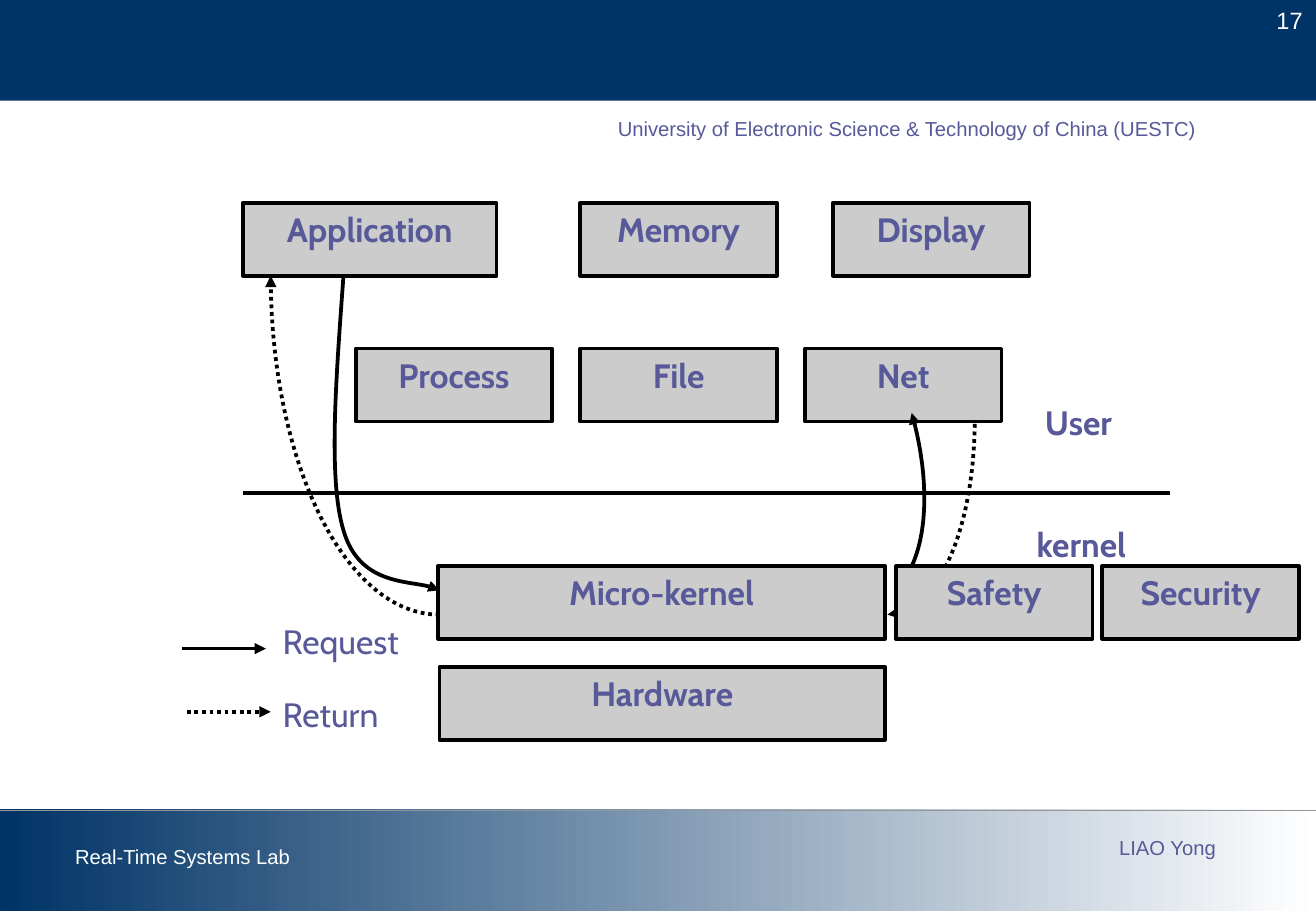
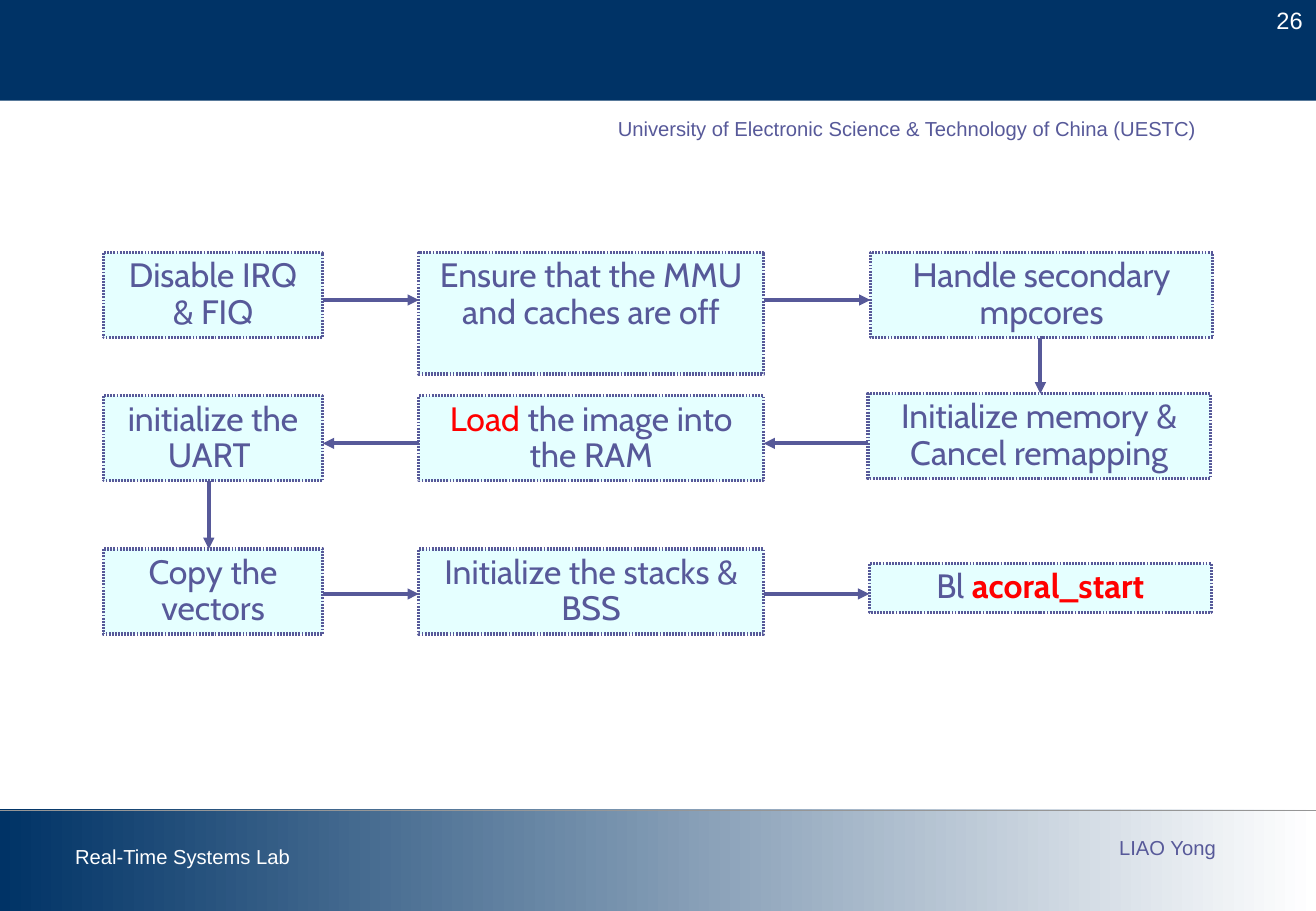
from dataclasses import dataclass
from itertools import pairwise
from typing import NamedTuple

from pptx import Presentation
from pptx.dml.color import RGBColor
from pptx.enum.dml import MSO_LINE_DASH_STYLE as Dash
from pptx.enum.shapes import MSO_CONNECTOR as Connector
from pptx.enum.shapes import MSO_SHAPE as Preset
from pptx.enum.text import PP_ALIGN as Align
from pptx.oxml.ns import qn
from pptx.util import Inches, Pt

WIDTH, HEIGHT = 10.84, 7.5
NAVY = RGBColor(0x00, 0x33, 0x66)
VIOLET = RGBColor(0x57, 0x59, 0x99)
WHITE = RGBColor(0xFF, 0xFF, 0xFF)
BLACK = RGBColor(0x00, 0x00, 0x00)
RED = RGBColor(0xFF, 0x00, 0x00)
GRAY = RGBColor(0x96, 0x96, 0x96)
SILVER = RGBColor(0xCC, 0xCC, 0xCC)
CYAN = RGBColor(0xCC, 0xFF, 0xFF)
FRAME_FONT, BODY_FONT = "Arial", "Cabin"
BODY_SIZE = 20
ARROW_WIDTH = 2.25
HEADER_HEIGHT, FOOTER_TOP = 0.83, 6.66


class Point(NamedTuple):
    x: float
    y: float


class Area(NamedTuple):
    left: float
    top: float
    width: float
    height: float


class Words(NamedTuple):
    text: str
    color: RGBColor = VIOLET
    bold: bool = False


@dataclass(frozen=True)
class Module:
    """A box of the kernel diagram; row counts into MODULE_ROWS."""
    name: str
    left: float
    row: int
    width: float = 1.62


@dataclass(frozen=True)
class Curve:
    """Cubic Bezier pieces: a start, then two controls and an end for each."""
    points: tuple[Point, ...]
    dash: Dash | None = None
    head: str = "tailEnd"


class Column(NamedTuple):
    left: float
    width: float
    axis: float


class Row(NamedTuple):
    top: float
    axis: float


@dataclass(frozen=True)
class Step:
    column: int
    row: int
    words: tuple[Words, ...]
    height: float = 0.7
    shift: float = 0.0
    drop: float = 0.0

    @property
    def area(self) -> Area:
        column = STEP_COLUMNS[self.column]
        return Area(column.left + self.shift, STEP_ROWS[self.row].top + self.drop,
                    column.width, self.height)


MODULE_HEIGHT = 0.6
MODULE_ROWS = (1.67, 2.87, 4.66, 5.49)
MODULES = (
    Module("Application", 2, 0, 2.09),
    Module("Memory", 4.78, 0),
    Module("Display", 6.86, 0),
    Module("Process", 2.93, 1),
    Module("File", 4.78, 1),
    Module("Net", 6.63, 1),
    Module("Micro-kernel", 3.61, 2, 3.68),
    Module("Hardware", 3.62, 3, 3.67),
)
SERVICES = (Module("Safety", 7.38, 2), Module("Security", 9.08, 2))
CALLS = (
    Curve((Point(2.83, 2.26), Point(2.77, 3.1), Point(2.7, 3.94), Point(2.83, 4.37),
           Point(2.96, 4.81), Point(3.49, 4.78), Point(3.62, 4.86))),
    Curve((Point(7.4, 4.83), Point(7.63, 4.58), Point(7.68, 4), Point(7.51, 3.4))),
    Curve((Point(7.31, 5.06), Point(7.7, 5.06), Point(8.02, 4.35), Point(8.03, 3.47)),
          Dash.ROUND_DOT, "headEnd"),
    Curve((Point(3.62, 5.06), Point(2.86, 5.06), Point(2.23, 3.81), Point(2.23, 2.27)),
          Dash.ROUND_DOT),
)

STEP_COLUMNS = (Column(0.85, 1.81, 1.72), Column(3.45, 2.84, 4.87), Column(7.16, 2.82, 8.57))
STEP_ROWS = (Row(2.08, 2.47), Row(3.26, 3.65), Row(4.52, 4.89))
BOOT_STEPS = (
    Step(0, 0, (Words("Disable IRQ & FIQ"),)),
    Step(1, 0, (Words("Ensure that the MMU and caches are off"),), height=1),
    Step(2, 0, (Words("Handle secondary mpcores"),), shift=0.01),
    Step(2, 1, (Words("Initialize memory & Cancel remapping"),), shift=-0.01, drop=-0.02),
    Step(1, 1, (Words("Load", RED), Words(" the image into the RAM"))),
    Step(0, 1, (Words("initialize the UART "),)),
    Step(0, 2, (Words("Copy the vectors"),)),
    Step(1, 2, (Words("Initialize the stacks & BSS"),)),
    Step(2, 2, (Words("Bl "), Words("acoral_start", RED, True)), height=0.4, drop=0.12),
)


def write(shape, words, size=BODY_SIZE, font=BODY_FONT, align=Align.LEFT, wrap=True):
    frame = shape.text_frame
    frame.word_wrap = wrap
    paragraph = frame.paragraphs[0]
    paragraph.alignment = align
    for part in words:
        run = paragraph.add_run()
        run.text = part.text
        run.font.size = Pt(size)
        run.font.name = font
        run.font.bold = part.bold
        run.font.color.rgb = part.color
    return paragraph


def add_text(slide, area: Area, words: Words, **style):
    shape = slide.shapes.add_textbox(*map(Inches, area))
    write(shape, (words,), **style)


def add_box(slide, area: Area, fill: RGBColor):
    """Add a filled rectangle without outline, its text starting at the top."""
    shape = slide.shapes.add_shape(Preset.RECTANGLE, *map(Inches, area))
    shape.shadow.inherit = False
    shape.fill.solid()
    shape.fill.fore_color.rgb = fill
    shape.line.fill.background()
    shape.text_frame._txBody.bodyPr.set("anchor", "t")
    return shape


def add_child(parent, tag: str, **attributes: str):
    child = parent.makeelement(qn(tag), attributes)
    parent.append(child)
    return child


def set_line(shape, color: RGBColor, width: float, dash: Dash | None = None,
             head: str | None = None):
    shape.line.color.rgb = color
    shape.line.width = Pt(width)
    if dash is not None:
        shape.line.dash_style = dash
    if head:
        add_child(shape.line._get_or_add_ln(), f"a:{head}", type="triangle")


def add_line(slide, start: Point, end: Point, color: RGBColor,
             width: float = ARROW_WIDTH, **style):
    line = slide.shapes.add_connector(Connector.STRAIGHT, *map(Inches, (*start, *end)))
    set_line(line, color, width, **style)
    add_child(line._element.spPr, "a:effectLst")


def add_curve(slide, curve: Curve):
    """Draw the control polygon, then turn every three segments into a Bezier piece."""
    start, *others = [tuple(map(Inches, point)) for point in curve.points]
    builder = slide.shapes.build_freeform(*start)
    builder.add_line_segments(others, close=False)
    shape = builder.convert_to_shape()
    outline = next(shape._element.iter(qn("a:path")))
    segments = outline.findall(qn("a:lnTo"))
    for first in range(0, len(segments), 3):
        piece = add_child(outline, "a:cubicBezTo")
        for segment in segments[first:first + 3]:
            piece.append(segment[0])
            outline.remove(segment)
    shape.shadow.inherit = False
    shape.fill.background()
    set_line(shape, BLACK, ARROW_WIDTH, curve.dash, curve.head)


def add_framed_slide(presentation, number: int):
    """Add a blank slide with the header band, footer band and slide number."""
    slide = presentation.slides.add_slide(presentation.slide_layouts[6])
    add_line(slide, Point(0, HEADER_HEIGHT), Point(WIDTH, HEADER_HEIGHT), WHITE, 0.75)
    add_box(slide, Area(0, 0, WIDTH, HEADER_HEIGHT), NAVY)
    add_text(slide, Area(10.2, 0, 0.63, 0.33), Words(str(number), WHITE),
             size=14, font=FRAME_FONT, align=Align.RIGHT)
    footer = add_box(slide, Area(0, FOOTER_TOP, WIDTH, HEIGHT - FOOTER_TOP), NAVY)
    footer.fill.gradient()
    footer.fill.gradient_angle = 0
    for stop, color in zip(footer.fill.gradient_stops, (NAVY, WHITE)):
        stop.color.rgb = color
    rule = FOOTER_TOP + 0.01
    add_line(slide, Point(0, rule), Point(WIDTH, rule), GRAY, 0.75)
    for area, words, wrap in (
        (Area(0.52, 6.9, 2.02, 0.3), Words("Real-Time Systems Lab", WHITE), False),
        (Area(9.12, 6.83, 1.01, 0.3), Words("LIAO Yong"), False),
        (Area(4.99, 0.91, 5.88, 0.3),
         Words("University of Electronic Science & Technology of China (UESTC)"), True),
    ):
        add_text(slide, area, words, size=12, font=FRAME_FONT, wrap=wrap)
    return slide


def add_module(slide, module: Module):
    area = Area(module.left, MODULE_ROWS[module.row], module.width, MODULE_HEIGHT)
    shape = add_box(slide, area, SILVER)
    set_line(shape, BLACK, ARROW_WIDTH)
    write(shape, (Words(module.name, bold=True),), align=Align.CENTER)


def add_kernel_slide(presentation):
    slide = add_framed_slide(presentation, 17)
    add_line(slide, Point(2, 4.06), Point(9.64, 4.06), BLACK)
    add_text(slide, Area(8.51, 3.26, 1.13, 0.6), Words("User", bold=True))
    add_text(slide, Area(8.44, 4.26, 1.2, 0.6), Words("kernel", bold=True))
    for name, top, left, axis, dash in (("Request", 5.06, 1.5, 5.34, None),
                                        ("Return", 5.66, 1.54, 5.86, Dash.ROUND_DOT)):
        add_line(slide, Point(left, axis), Point(left + 0.69, axis), BLACK,
                 dash=dash, head="tailEnd")
        add_text(slide, Area(2.23, top, 1.31, 0.51), Words(name))
    for module in MODULES:
        add_module(slide, module)
    for call in CALLS:
        add_curve(slide, call)
    for service in SERVICES:
        add_module(slide, service)


def add_step(slide, step: Step):
    shape = add_box(slide, step.area, CYAN)
    color = shape.fill._xPr.find(qn("a:solidFill"))[0]
    add_child(color, "a:alpha", val="50000")
    set_line(shape, VIOLET, 1.84)
    dashes = add_child(shape.line._get_or_add_ln(), "a:custDash")
    add_child(dashes, "a:ds", d="60000", sp="40000")
    write(shape, step.words, align=Align.CENTER).line_spacing = 0.9


def link_steps(slide, step: Step, following: Step):
    """Draw the arrow between facing edges of two neighbouring steps."""
    source, target = step.area, following.area
    if step.column == following.column:
        x = STEP_COLUMNS[step.column].axis
        start, end = Point(x, source.top + source.height), Point(x, target.top)
    else:
        y = STEP_ROWS[step.row].axis
        if step.column < following.column:
            start, end = Point(source.left + source.width, y), Point(target.left, y)
        else:
            start, end = Point(source.left, y), Point(target.left + target.width, y)
    add_line(slide, start, end, VIOLET, head="tailEnd")


def add_boot_slide(presentation):
    slide = add_framed_slide(presentation, 26)
    add_box(slide, Area(8.46, 2.55, 0.24, 0.24), WHITE)
    for step in BOOT_STEPS:
        add_step(slide, step)
    for step, following in pairwise(BOOT_STEPS):
        link_steps(slide, step, following)


def main():
    presentation = Presentation()
    presentation.slide_width = Inches(WIDTH)
    presentation.slide_height = Inches(HEIGHT)
    add_kernel_slide(presentation)
    add_boot_slide(presentation)
    presentation.save("out.pptx")


if __name__ == "__main__":
    main()
